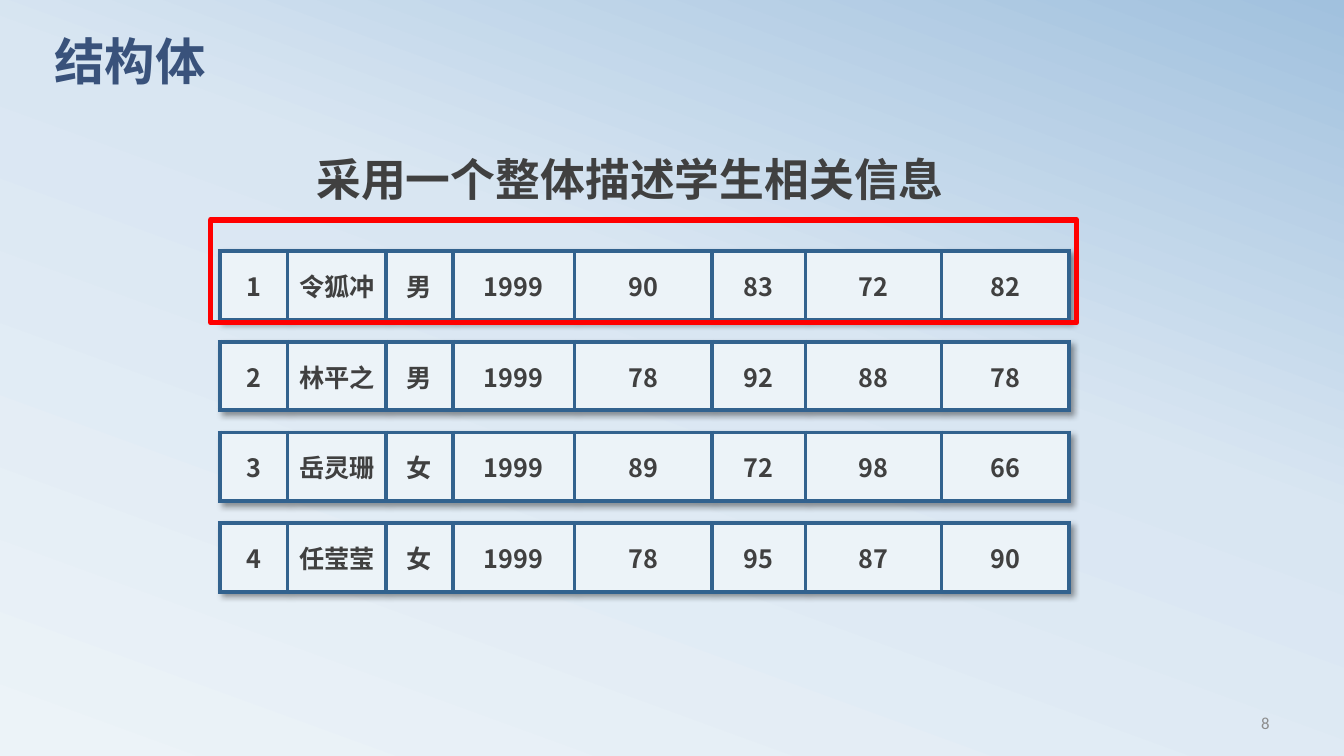
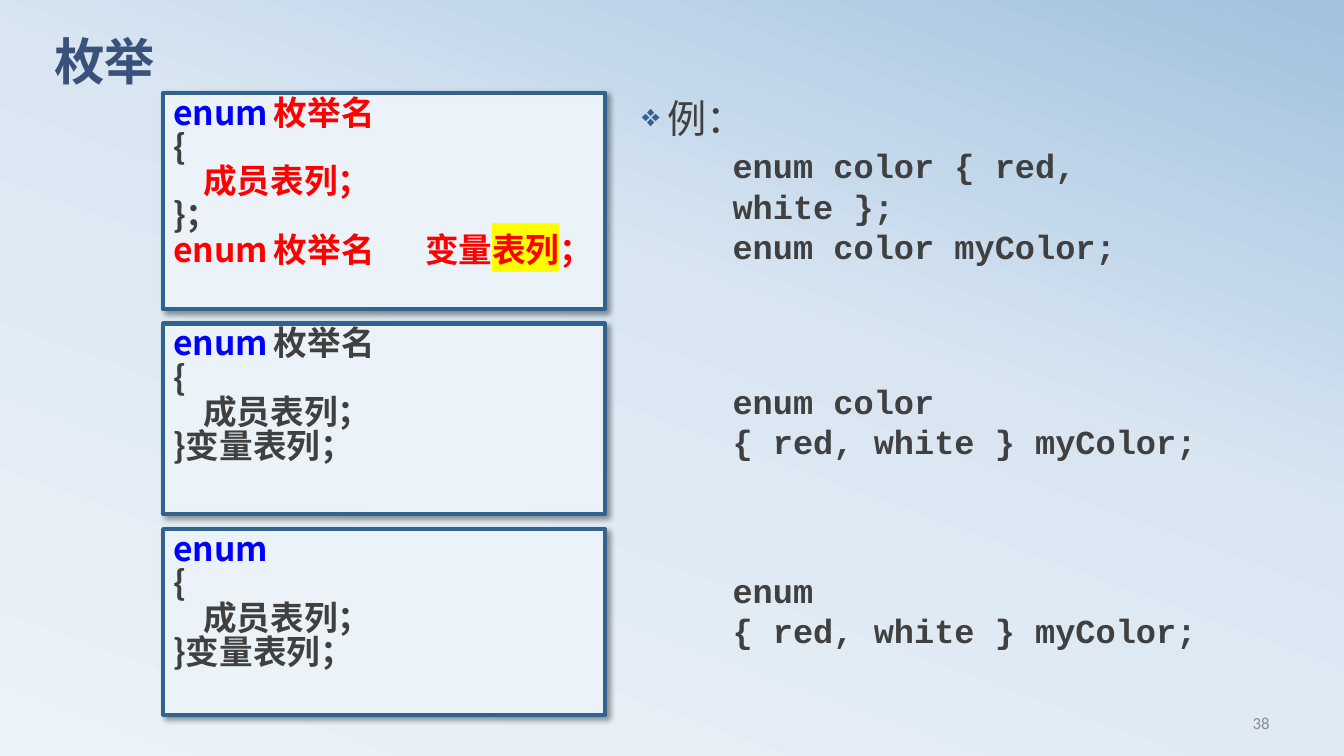
from pptx import Presentation
from pptx.dml.color import RGBColor
from pptx.enum.shapes import MSO_SHAPE
from pptx.enum.text import MSO_ANCHOR, PP_ALIGN
from pptx.oxml import parse_xml
from pptx.oxml.ns import nsdecls, qn
from pptx.util import Pt

RECT = MSO_SHAPE.RECTANGLE
TOP, MIDDLE = MSO_ANCHOR.TOP, MSO_ANCHOR.MIDDLE
LEFT, CENTER, RIGHT = PP_ALIGN.LEFT, PP_ALIGN.CENTER, PP_ALIGN.RIGHT

SANS, LATIN, MONO = "Noto Sans CJK SC", "Calibri", "Courier New"
PALE, EDGE, TEXT, TITLE, GREY = "ECF3F8", "32628E", "404040", "39527B", "8C8C8C"
RED, BLUE, YELLOW = "FF0000", "0000FF", "FFFF00"
BACKGROUND = [(0, PALE), (58, "D9E6F2"), (100, "A1C1DE")]


def rgb(color):
    return RGBColor.from_string(color)


def xml(tag, attrs="", inner=""):
    return parse_xml(f"<a:{tag} {nsdecls('a')} {attrs}>{inner}</a:{tag}>")


def color_xml(color):
    return f'<a:srgbClr val="{color}"/>'


def shadow_xml():
    return xml("effectLst", "",
               f'<a:outerShdw blurRad="{Pt(4)}" dist="{Pt(3)}" dir="2700000" algn="tl" '
               'rotWithShape="0"><a:srgbClr val="000000"><a:alpha val="40000"/>'
               '</a:srgbClr></a:outerShdw>')


# Text
def add_run(p, text, size, color, font=SANS, bold=True, highlight=None):
    r = p.add_run()
    r.text = text
    f = r.font
    f.size, f.bold, f.name = Pt(size), bold, font
    f.color.rgb = rgb(color)
    latin = r._r.rPr.find(qn("a:latin"))
    latin.addnext(xml("ea", f'typeface="{SANS}"'))
    if highlight:
        latin.addprevious(xml("highlight", "", color_xml(highlight)))


def set_indent(p, left, first=0):
    pPr = p._p.get_or_add_pPr()
    pPr.set("marL", str(Pt(left)))
    pPr.set("indent", str(Pt(first)))
    return pPr


def paragraphs(tf, count):
    return [tf.paragraphs[0]] + [tf.add_paragraph() for _ in range(count - 1)]


def add_text(s, box, anchor=TOP, align=LEFT, count=1):
    tf = s.shapes.add_textbox(*map(Pt, box)).text_frame
    tf.word_wrap = True
    tf.vertical_anchor = anchor
    ps = paragraphs(tf, count)
    for p in ps:
        p.alignment = align
    return ps


# Parts shared by the slides
def set_background(master):
    fill = master.background.fill
    fill.gradient()
    fill.gradient_angle = 70
    stops = next(master.element.iter(qn("a:gsLst")))
    for stop in list(stops):
        stops.remove(stop)
    for pos, color in BACKGROUND:
        stops.append(xml("gs", f'pos="{pos * 1000}"', color_xml(color)))


def new_slide(prs, title, number):
    s = prs.slides.add_slide(prs.slide_layouts[6])
    p, = add_text(s, (690, 502, 224, 28.8), MIDDLE, RIGHT)
    add_run(p, number, 12, GREY, LATIN, False)
    p, = add_text(s, (31.7, 26, 864, 67.7))
    p.line_spacing = 0.8
    add_run(p, title, 36, TITLE, LATIN)
    return s


def add_box(s, box, line, width, fill=None):
    sp = s.shapes.add_shape(RECT, *map(Pt, box))
    sp.shadow.inherit = False
    sp.line.color.rgb = rgb(line)
    sp.line.width = Pt(width)
    if fill:
        sp.fill.solid()
        sp.fill.fore_color.rgb = rgb(fill)
    else:
        sp.fill.background()
    return sp


# Student records
COLUMNS = [48.3, 70.6, 47.5, 87.1, 98, 67, 97.2, 90.8]
STUDENTS = [
    ("1", "令狐冲", "男", "1999", "90", "83", "72", "82"),
    ("2", "林平之", "男", "1999", "78", "92", "88", "78"),
    ("3", "岳灵珊", "女", "1999", "89", "72", "98", "66"),
    ("4", "任莹莹", "女", "1999", "78", "95", "87", "90"),
]


def style_cell(cell, text):
    tcPr = cell._tc.get_or_add_tcPr()
    for side in ("lnL", "lnR", "lnT", "lnB"):
        tcPr.append(xml(side, f'w="{Pt(3)}"',
                        f"<a:solidFill>{color_xml(EDGE)}</a:solidFill>"))
    cell.fill.solid()
    cell.fill.fore_color.rgb = rgb(PALE)
    cell.vertical_anchor = MIDDLE
    p = cell.text_frame.paragraphs[0]
    p.alignment = CENTER
    add_run(p, text, 18, TEXT)


def add_record(s, left, top, height, values):
    box = (left, top, sum(COLUMNS), height)
    table = s.shapes.add_table(1, len(values), *map(Pt, box)).table
    table.first_row = table.horz_banding = False
    table._tbl.tblPr.insert(0, shadow_xml())
    for column, width, cell, value in zip(table.columns, COLUMNS,
                                          table.rows[0].cells, values):
        column.width = Pt(width)
        style_cell(cell, value)


def struct_slide(prs):
    s = new_slide(prs, "结构体", "8")
    left, top, height, step = 157, 179.3, 49, 64.8
    for i, student in enumerate(STUDENTS):
        add_record(s, left, top + i * step, height, student)
    # Frame around the first record
    add_box(s, (left - 6.5, top - 22.3, sum(COLUMNS) + 12, 73.4), RED, 4)
    p, = add_text(s, (218.9, 105.1, 466.6, 46))
    add_run(p, "采用一个整体描述学生相关信息", 32, TEXT)


# Enum syntax: each line is (indent, tab stops, runs)
MEMBERS = "成员表列；"
OPEN = (0, [], [("{", TEXT)])
PLAIN_MEMBERS = (21.6, [], [(MEMBERS, TEXT)])
VARIABLES = (0, [], [("}变量表列；", TEXT)])
SYNTAX = [
    (66.2, 154.8, [
        (0, [85], [("enum\t", BLUE), ("枚举名", RED)]),
        OPEN,
        (21.6, [], [(MEMBERS, RED)]),
        (0, [], [("}；", TEXT)]),
        (0, [85, 168], [("enum\t枚举名\t变量", RED), ("表列", RED, YELLOW),
                        ("；", RED)])]),
    (231.1, 136.1, [
        (0, [90], [("enum\t", BLUE), ("枚举名", TEXT)]),
        OPEN, PLAIN_MEMBERS, VARIABLES]),
    (378, 132.5, [
        (0, [], [("enum", BLUE)]),
        OPEN, PLAIN_MEMBERS, VARIABLES]),
]
EXAMPLES = [
    (100.1, ["enum color { red, white };", "enum color myColor;"]),
    (268.6, ["enum color", "{ red, white } myColor;"]),
    (403.2, ["enum", "{ red, white } myColor;"]),
]


def add_syntax(s, box, lines):
    sp = add_box(s, box, EDGE, 3, PALE)
    effects = sp._element.spPr.find(qn("a:effectLst"))
    effects.getparent().replace(effects, shadow_xml())
    tf = sp.text_frame
    tf.word_wrap = True
    tf.vertical_anchor = TOP
    for p, (indent, tabs, runs) in zip(paragraphs(tf, len(lines)), lines):
        p.alignment = LEFT
        p.line_spacing = 0.85
        pPr = set_indent(p, indent)
        if tabs:
            pPr.append(xml("tabLst", "", "".join(
                f'<a:tab pos="{Pt(tab)}" algn="l"/>' for tab in tabs)))
        for text, color, *highlight in runs:
            add_run(p, text, 24, color, highlight=highlight[0] if highlight else None)


def add_example_label(s, box):
    p, = add_text(s, box)
    p.line_spacing = 0.9
    p.space_before = Pt(18)
    pPr = set_indent(p, 18, -18)
    pPr.append(xml("buClr", "", color_xml(EDGE)))
    pPr.append(xml("buSzPct", 'val="80000"'))
    pPr.append(xml("buChar", 'char="❖"'))
    add_run(p, "例：", 28, TEXT, bold=False)


def add_example(s, box, lines):
    for p, line in zip(add_text(s, box, count=len(lines)), lines):
        set_indent(p, 36)
        add_run(p, line, 24, TEXT, MONO)


def enum_slide(prs):
    s = new_slide(prs, "枚举", "38")
    add_example_label(s, (451.4, 67.7, 93.6, 38.2))
    for top, height, lines in SYNTAX:
        add_syntax(s, (116.6, top, 315.4, height), lines)
    for top, lines in EXAMPLES:
        add_example(s, (480.2, top, 396.7, 65.5), lines)


prs = Presentation()
prs.slide_width, prs.slide_height = Pt(960), Pt(540)
set_background(prs.slide_master)
struct_slide(prs)
enum_slide(prs)
prs.save("out.pptx")
